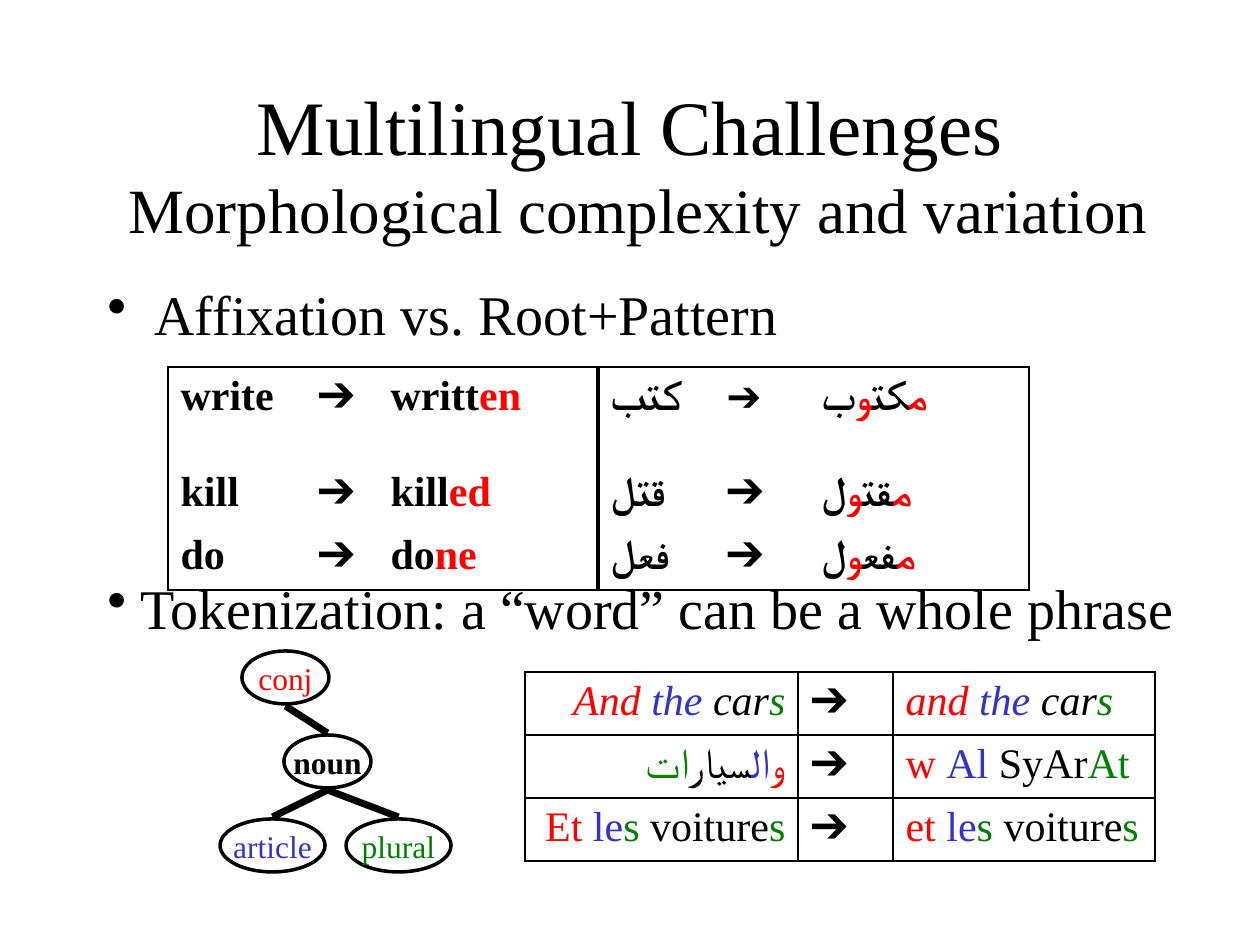
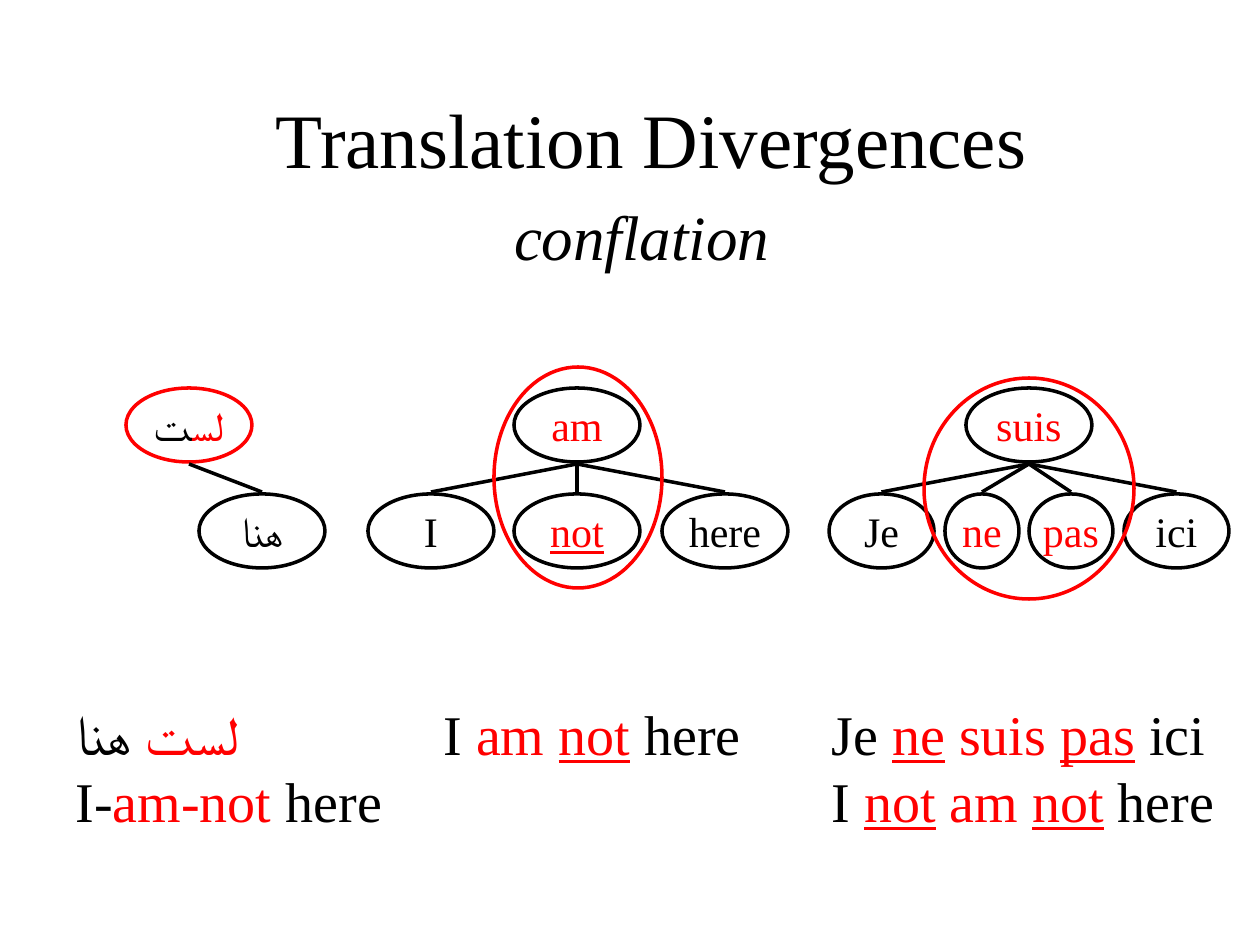
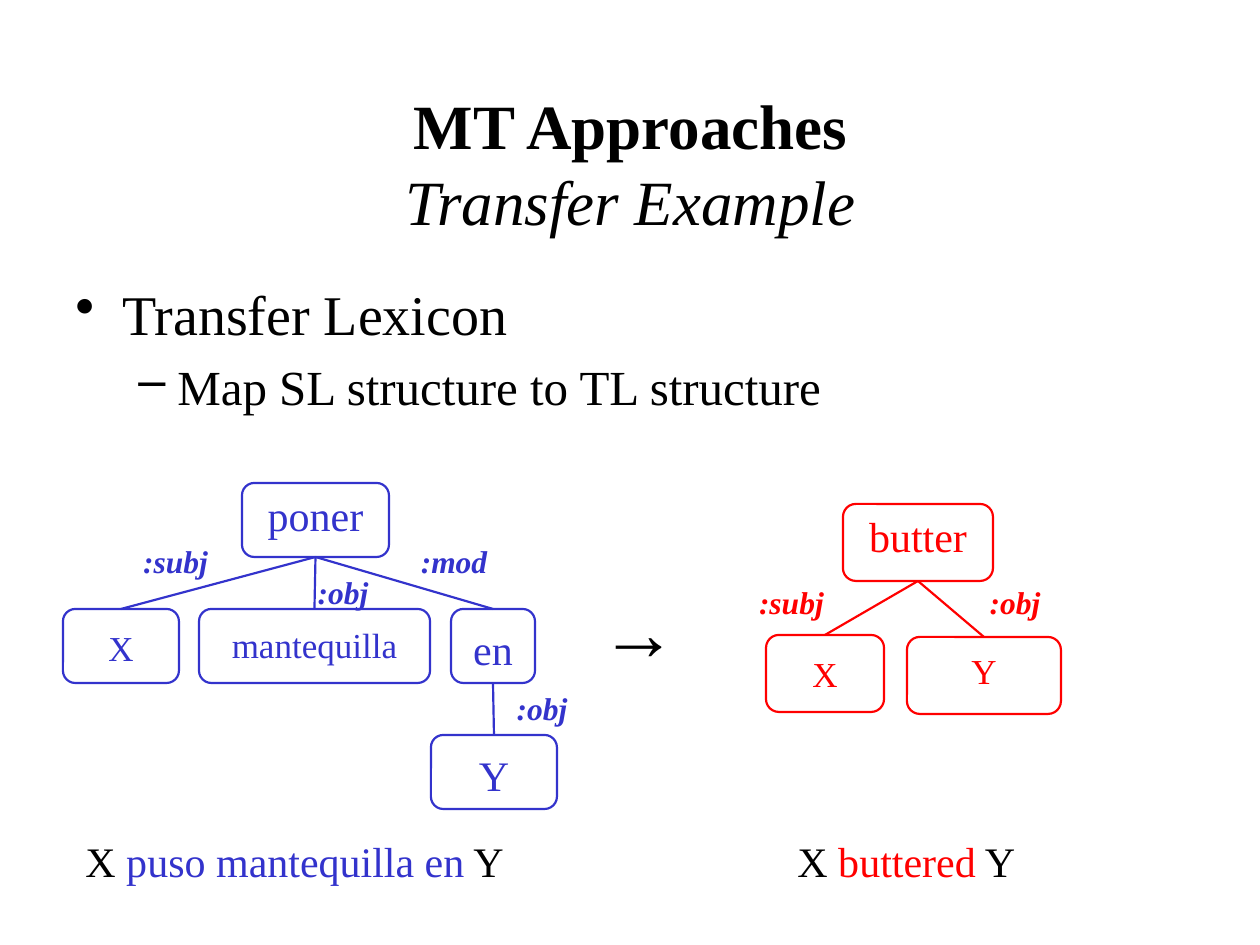
"""Build three slides on multilingual challenges for machine translation."""
from functools import partial

from lxml.etree import SubElement as Sub
from pptx import Presentation
from pptx.dml.color import RGBColor as Rgb
from pptx.enum.shapes import MSO_CONNECTOR as Conn, MSO_SHAPE as Form
from pptx.enum.text import MSO_ANCHOR as Anchor, PP_ALIGN as Align
from pptx.oxml import parse_xml
from pptx.oxml.ns import nsdecls, qn
from pptx.util import Pt

PX = 914400 / 126
FACE = "Times New Roman"
HUES = {"black": "000000", "red": "FF0000", "blue": "3333CC", "green": "008000"}
SIDES = {"l": Align.LEFT, "c": Align.CENTER, "r": Align.RIGHT}
ARROW = "➔"


def px(*nums):
    """Turn px into EMU."""
    return [round(n * PX) for n in nums]


def rgb(name):
    """Look up a colour."""
    return Rgb.from_string(HUES[name])


def tint(colour, text, **look):
    """Pair a text with a colour and other format."""
    return text, dict(look, colour=colour)


black, red, blue, green = (partial(tint, hue) for hue in HUES)


def style(run, size=24, colour="black", bold=False, italic=False, under=False, face=FACE):
    """Format one run."""
    font = run.font
    font.size, font.name, font.bold = Pt(size), face, bold
    font.italic, font.underline = italic, under
    font.color.rgb = rgb(colour)
    Sub(run._r.get_or_add_rPr(), qn("a:cs"), typeface=face)


def space(para, gap):
    """Set the space before a paragraph in percent."""
    before = Sub(para._p.get_or_add_pPr(), qn("a:spcBef"))
    Sub(before, qn("a:spcPct"), val=str(gap * 1000))


def bullet(para, mark, left, hang):
    """Give a paragraph a bullet and a hanging indent."""
    props = para._p.get_or_add_pPr()
    left, hang = px(left, hang)
    props.set("marL", str(left))
    props.set("indent", str(-hang))
    Sub(props, qn("a:buChar"), char=mark)


def fill(para, runs, align="l", gap=0, mark=None, **look):
    """Write runs into a paragraph; a closing newline breaks the line."""
    para.alignment = SIDES[align]
    if gap:
        space(para, gap)
    if mark:
        bullet(para, *mark)
    for item in runs:
        text, own = item if isinstance(item, tuple) else (item, {})
        run = para.add_run()
        run.text = text.rstrip("\n")
        style(run, **{**look, **own})
        if text.endswith("\n"):
            para.add_line_break()


def write(frame, *lines, **look):
    """Write lines of runs into a text frame."""
    for i, runs in enumerate(lines):
        para = frame.add_paragraph() if i else frame.paragraphs[0]
        fill(para, runs, **look)


def text(slide, box, *lines, wrap=True, mid=False, **look):
    """Add a text box."""
    frame = slide.shapes.add_textbox(*px(*box)).text_frame
    frame.word_wrap = wrap
    frame.vertical_anchor = Anchor.MIDDLE if mid else Anchor.TOP
    write(frame, *lines, **look)
    return frame


def title(slide, *lines, x=95, y=84, **look):
    """Add the centred slide title."""
    text(slide, (x, y, 1071, 157), *lines, mid=True, align="c", **look)


def shape(slide, form, box, colour, width):
    """Add an outlined shape without fill."""
    item = slide.shapes.add_shape(form, *px(*box))
    item.shadow.inherit = False
    item.fill.background()
    item.line.color.rgb = rgb(colour)
    item.line.width = Pt(width)
    return item


def oval(slide, box, *runs, line="black", **look):
    """Add an ellipse, with a word if given."""
    item = shape(slide, Form.OVAL, box, line, 2)
    if runs:
        frame = item.text_frame
        frame.word_wrap = False
        frame.vertical_anchor = Anchor.MIDDLE
        write(frame, runs, align="c", **look)
    return item


def card(slide, box, word, drop, colour, size=20):
    """Add a rounded box with its word placed below the top edge by drop."""
    item = shape(slide, Form.ROUNDED_RECTANGLE, box, colour, 1.25)
    x, y, w, _ = box
    text(slide, (x, y + drop, w, 54 if size == 20 else 63), [word],
         align="c", gap=50, size=size, colour=colour)
    return item


def link(slide, top, low, colour="black", width=2, join=False):
    """Draw a line from the bottom of one node to the top of another."""
    gap = 0 if join else px(2)[0]
    line = slide.shapes.add_connector(
        Conn.STRAIGHT, top.left + top.width // 2, top.top + top.height + gap,
        low.left + low.width // 2, low.top - gap)
    if join:
        line.begin_connect(top, 2)
        line.end_connect(low, 0)
    line.line.color.rgb = rgb(colour)
    line.line.width = Pt(width)
    Sub(line._element.spPr, qn("a:effectLst"))


def edge(cell, **sides):
    """Set the four borders of a cell by width in points."""
    props = cell._tc.get_or_add_tcPr()
    for i, side in enumerate("LRTB"):
        wide = sides.get(side, 0)
        paint = (f'<a:solidFill><a:srgbClr val="{HUES["black"]}"/></a:solidFill>'
                 if wide else "<a:noFill/>")
        props.insert(i, parse_xml(
            f'<a:ln{side} {nsdecls("a")} w="{Pt(wide)}">{paint}</a:ln{side}>'))


def grid(slide, x, y, cols, rows, cells, rule, right=(), **look):
    """Add a table whose borders come from rule(row, col)."""
    size = px(x, y, sum(cols), sum(rows))
    table = slide.shapes.add_table(len(rows), len(cols), *size).table
    table.first_row = table.horz_banding = False
    for col, wide in zip(table.columns, px(*cols)):
        col.width = wide
    for row, high in zip(table.rows, px(*rows)):
        row.height = high
    for r, line in enumerate(cells):
        for c, runs in enumerate(line):
            cell = table.cell(r, c)
            cell.fill.background()
            edge(cell, **rule(r, c))
            write(cell.text_frame, runs, gap=20,
                  align="r" if c in right else "l", **look)


def frame(r, c):
    """Give an outer border and a thick rule in the middle."""
    return {"L": {0: 1, 3: 3}.get(c, 0), "R": {2: 3, 5: 1}.get(c, 0),
            "T": int(r == 0), "B": int(r == 2)}


def mesh(r, c):
    """Give every side a thin border."""
    return dict.fromkeys("LRTB", 1)


def root(mid, end):
    """Mark the pattern letters around an Arabic root."""
    return [red("م"), mid, red("و"), end]


def words(slide):
    """Build the slide on morphology."""
    title(slide, ["Multilingual Challenges\n",
                  black(" Morphological complexity and variation", size=36)], size=44)
    text(slide, (95, 273, 1092, 84), ["Affixation vs. Root+Pattern"],
         size=32, gap=20, mark=("•", 47, 47))
    forms = [
        [["write"], [ARROW], ["writt", red("en")],
         ["كتب"], [black(ARROW, face="Arial")], root("كت", "ب")],
        [["kill"], [ARROW], ["kill", red("ed")], ["قتل"], [ARROW], root("قت", "ل")],
        [["do"], [ARROW], ["do", red("ne")], ["فعل"], [ARROW], root("فع", "ل")],
    ]
    grid(slide, 168, 367, (137, 73, 220, 116, 95, 220), (96, 59, 64), forms,
         frame, bold=True)
    node = partial(oval, slide, size=18)
    conj = node((242, 651, 87, 53), red("conj"))
    noun = node((284, 735, 87, 53), black("noun", bold=True))
    many = node((346, 819, 105, 53), green("plural"))
    art = node((220, 819, 105, 53), blue("article"))
    for top, low in ((conj, noun), (noun, art), (noun, many)):
        link(slide, top, low, width=4)
    text(slide, (95, 567, 1134, 79), [" Tokenization: a “word” can be a whole phrase"],
         size=32, gap=20, mark=("•", 0, 0))
    tilt = {"italic": True}
    cars = [
        [[red("And ", **tilt), blue("the", **tilt), black(" car", **tilt),
          green("s", **tilt)], [ARROW],
         [red("and ", **tilt), blue("the ", **tilt), black("car", **tilt),
          green("s", **tilt)]],
        [[red("و"), blue("ال"), "سيار", green("ات")], [ARROW],
         [red("w "), blue("Al "), "SyAr", green("At")]],
        [[red("Et "), blue("le"), green("s"), " voiture", green("s")], [ARROW],
         [red("et "), blue("le"), green("s "), "voiture", green("s")]],
    ]
    grid(slide, 525, 672, (273, 95, 262), (63, 63, 63), cars, mesh, right=(0,))


def merge(slide):
    """Build the slide on conflation."""
    title(slide, ["Translation Divergences"],
          [black("conflation", size=36, italic=True), " "], x=116, y=105, size=44)
    high, low, tall = 388, 494, 74
    no = red("not", under=True)
    trees = [
        ((126, 126, [red("لس"), "ت"], "red"), [(199, 126, "هنا")]),
        ((514, 126, [red("am")], "black"),
         [(368, 126, "I"), (514, 126, no), (662, 126, "here")]),
        ((966, 126, [red("suis")], "black"),
         [(829, 105, "Je"), (945, 74, red("ne")), (1029, 84, red("pas")),
          (1124, 105, "ici")]),
    ]
    for (x, w, runs, line), kids in trees:
        head = oval(slide, (x, high, w, tall), *runs, line=line)
        for left, wide, word in kids:
            link(slide, head, oval(slide, (left, low, wide, tall), word))
    for ring in ((494, 367, 168, 221), (924, 378, 210, 221)):
        oval(slide, ring, line="red")
    note = partial(text, slide, size=32)
    note((63, 693, 355, 147), [red("لست"), " هنا"], ["I-", red("am-not"), " here"])
    note((431, 693, 325, 79), ["I ", red("am "), no, " here"])
    note((819, 693, 408, 147),
         ["Je ", red("ne", under=True), " ", red("suis "), red("pas", under=True), " ici"],
         ["I ", no, " ", red("am "), no, " here"], wrap=False)


def shift(slide):
    """Build the slide on the transfer lexicon."""
    title(slide, [black("MT Approaches\n", bold=True),
                  black("Transfer Example", italic=True)], size=36)
    body = text(slide, (63, 273, 1144, 609), ["Transfer Lexicon"],
                size=32, gap=20, mark=("•", 47, 47))
    fill(body.add_paragraph(), ["Map SL structure to TL structure"],
         size=28, gap=20, mark=("–", 102, 39))
    text(slide, (588, 577, 95, 105), ["→"], size=44, bold=True, align="c", gap=50)

    node = partial(card, slide, colour="blue")
    put = node((242, 483, 147, 74), "poner", 0, size=24)
    who = node((63, 609, 116, 74), "X", 11)
    what = node((199, 609, 231, 74), "mantequilla", 8)
    prep = node((451, 609, 84, 74), "en", 8, size=24)
    place = node((431, 735, 126, 74), "Y", 8, size=24)
    node = partial(card, slide, colour="red")
    verb = node((843, 504, 150, 77), "butter", 0, size=24)
    doer = node((766, 635, 118, 77), "X", 11)
    goal = node((907, 637, 154, 77), "Y", 6)
    for hue, top, kids in (("blue", put, (who, what, prep)), ("blue", prep, (place,)),
                           ("red", verb, (doer, goal))):
        for low in kids:
            link(slide, top, low, hue, 1.25, join=True)

    for x, y, w, role, hue in (
            (305, 567, 76, ":obj", "blue"), (408, 536, 92, ":mod", "blue"),
            (130, 536, 91, ":subj", "blue"), (504, 683, 76, ":obj", "blue"),
            (746, 577, 91, ":subj", "red"), (977, 577, 76, ":obj", "red")):
        text(slide, (x, y, w, 50), [role], wrap=False, align="c",
             size=18, colour=hue, bold=True, italic=True)
    for x, w, verb in ((73, 445, blue("puso mantequilla en")), (785, 244, red("buttered"))):
        text(slide, (x, 829, w, 63), ["X ", verb, " Y"], wrap=False)


def main():
    """Build and save the deck."""
    deck = Presentation()
    deck.slide_width, deck.slide_height = px(1260, 945)
    for build in (words, merge, shift):
        build(deck.slides.add_slide(deck.slide_layouts[6]))
    deck.save("out.pptx")


if __name__ == "__main__":
    main()
